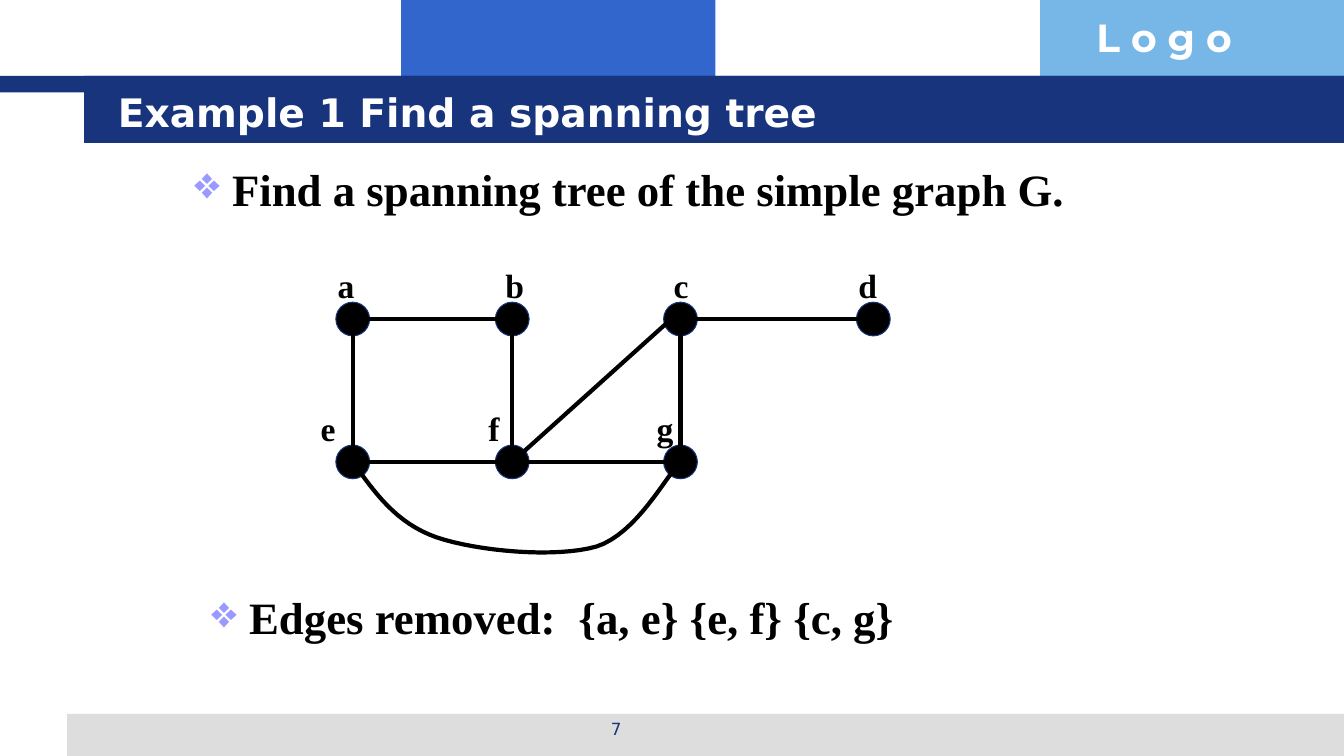
from lxml import etree
from pptx import Presentation
from pptx.dml.color import RGBColor
from pptx.enum.shapes import MSO_CONNECTOR, MSO_SHAPE
from pptx.enum.text import MSO_ANCHOR, PP_ALIGN
from pptx.oxml.ns import qn
from pptx.util import Cm, Pt

RECT, OVAL = MSO_SHAPE.RECTANGLE, MSO_SHAPE.OVAL
STRAIGHT = MSO_CONNECTOR.STRAIGHT
LEFT, CENTER = PP_ALIGN.LEFT, PP_ALIGN.CENTER
TOP, MIDDLE = MSO_ANCHOR.TOP, MSO_ANCHOR.MIDDLE
NAVY, BLACK, WHITE = "17347D", "000000", "FFFFFF"
SERIF, SANS = "Times New Roman", "DejaVu Sans"


def rgb(value):
    return RGBColor.from_string(value)


def add_text(shapes, box, parts, size, font, color, bold=True,
             align=LEFT, anchor=TOP, bullet=None):
    sp = shapes.add_textbox(*[Cm(v) for v in box])
    tf = sp.text_frame
    tf.word_wrap = True
    tf.vertical_anchor = anchor
    p = tf.paragraphs[0]
    p.alignment = align
    if bullet:
        pPr = p._p.get_or_add_pPr()
        pPr.set("marL", str(Cm(0.95)))
        pPr.set("indent", str(-Cm(0.95)))
        bu_clr = etree.SubElement(pPr, qn("a:buClr"))
        etree.SubElement(bu_clr, qn("a:srgbClr"), val="9999FF")
        etree.SubElement(pPr, qn("a:buChar"), char=bullet)
    for part in parts:
        r = p.add_run()
        r.text = part
        r.font.size = Pt(size)
        r.font.name = font
        r.font.bold = bold
        r.font.color.rgb = rgb(color)
    return p


prs = Presentation()
prs.slide_width, prs.slide_height = Cm(33.87), Cm(19.05)
s = prs.slides.add_slide(prs.slide_layouts[6])

# Header and footer bands
bands = [
    (10.11, 0, 7.92, 2.33, "3366CC"),
    (26.21, 0, 7.66, 2.33, "77B7E7"),
    (1.69, 17.99, 32.18, 1.06, "DDDDDD"),
    (0, 1.91, 33.87, 0.42, NAVY),
    (2.12, 1.91, 31.75, 1.69, NAVY),
]
for x, y, w, h, color in bands:
    sp = s.shapes.add_shape(RECT, Cm(x), Cm(y), Cm(w), Cm(h))
    sp.shadow.inherit = False
    sp.fill.solid()
    sp.fill.fore_color.rgb = rgb(color)
    sp.line.fill.background()

add_text(s.shapes, (27.38, 0.2, 6.49, 1.45), ["L o g o"], 28, "Montserrat", WHITE)
add_text(s.shapes, (11.58, 17.98, 7.9, 0.89), ["7"], 12, SANS, NAVY,
         bold=False, align=CENTER)
add_text(s.shapes, (2.72, 2.03, 28.9, 1.57), ["Example 1 Find a spanning tree"],
         28, SANS, WHITE, anchor=MIDDLE)

# Statement and answer
add_text(s.shapes, (4.65, 3.94, 22.86, 1.78),
         ["Find a spanning tree of the simple graph G."], 32, SERIF, BLACK, bullet="❖")
p = add_text(s.shapes, (5.08, 14.73, 22.86, 1.78),
             ["Edges removed:", " ", "{a, e} {e, f} {c, g}"], 32, SERIF, BLACK, bullet="❖")
p.runs[1].font._element.set("spc", "800")  # wider gap after the colon

# Graph: node centre and left offset of its label
graph = s.shapes.add_group_shape().shapes
upper, lower = 8.04, 11.64
nodes = {
    "a": (8.89, upper, 0.63), "b": (12.91, upper, 0.42),
    "c": (17.15, upper, 0.42), "d": (22.01, upper, 0.63),
    "e": (8.89, lower, 1.06), "f": (12.91, lower, 0.85),
    "g": (17.15, lower, 0.85),
}
diameter = 0.85
for name, (x, y, dx) in nodes.items():
    sp = graph.add_shape(OVAL, Cm(x - diameter / 2), Cm(y - diameter / 2),
                         Cm(diameter), Cm(diameter))
    sp.shadow.inherit = False
    sp.fill.solid()
    sp.fill.fore_color.rgb = rgb(BLACK)
    sp.line.color.rgb = rgb(NAVY)
    sp.line.width = Pt(0.75)
    add_text(graph, (x - dx, y - 1.48, 1.06, 1.27), [name], 24, SERIF, BLACK)

# Straight edges; the diagonal meets c slightly above its centre
for start, end in ["ab", "cd", "ef", "fg", "bf", "cf", "cg", "ae"]:
    x1, y1, _ = nodes[start]
    x2, y2, _ = nodes[end]
    if start + end == "cf":
        y1 -= 0.21
    cn = graph.add_connector(STRAIGHT, Cm(x1), Cm(y1), Cm(x2), Cm(y2))
    cn.line.color.rgb = rgb(BLACK)
    cn.line.width = Pt(3)
    etree.SubElement(cn._element.spPr, qn("a:effectLst"))

# Curved edge from e to g, three Bezier segments
curve = [(8.89, 11.64), (9.45, 12.42), (9.98, 13.18), (11, 13.54),
         (12.04, 13.89), (14, 14.07), (15.04, 13.77),
         (16.05, 13.44), (16.79, 11.99), (17.15, 11.64)]
steps = 16
points = []
for i in range(0, 9, 3):
    for k in range(1, steps + 1):
        t = k / steps
        weights = ((1 - t) ** 3, 3 * t * (1 - t) ** 2, 3 * t * t * (1 - t), t ** 3)
        points.append([Cm(sum(w * c[axis] for w, c in zip(weights, curve[i:i + 4])))
                       for axis in (0, 1)])
fb = graph.build_freeform(Cm(curve[0][0]), Cm(curve[0][1]))
fb.add_line_segments(points, close=False)
sp = fb.convert_to_shape()
sp.shadow.inherit = False
sp.fill.background()
sp.line.color.rgb = rgb(BLACK)
sp.line.width = Pt(3)

prs.save("out.pptx")
